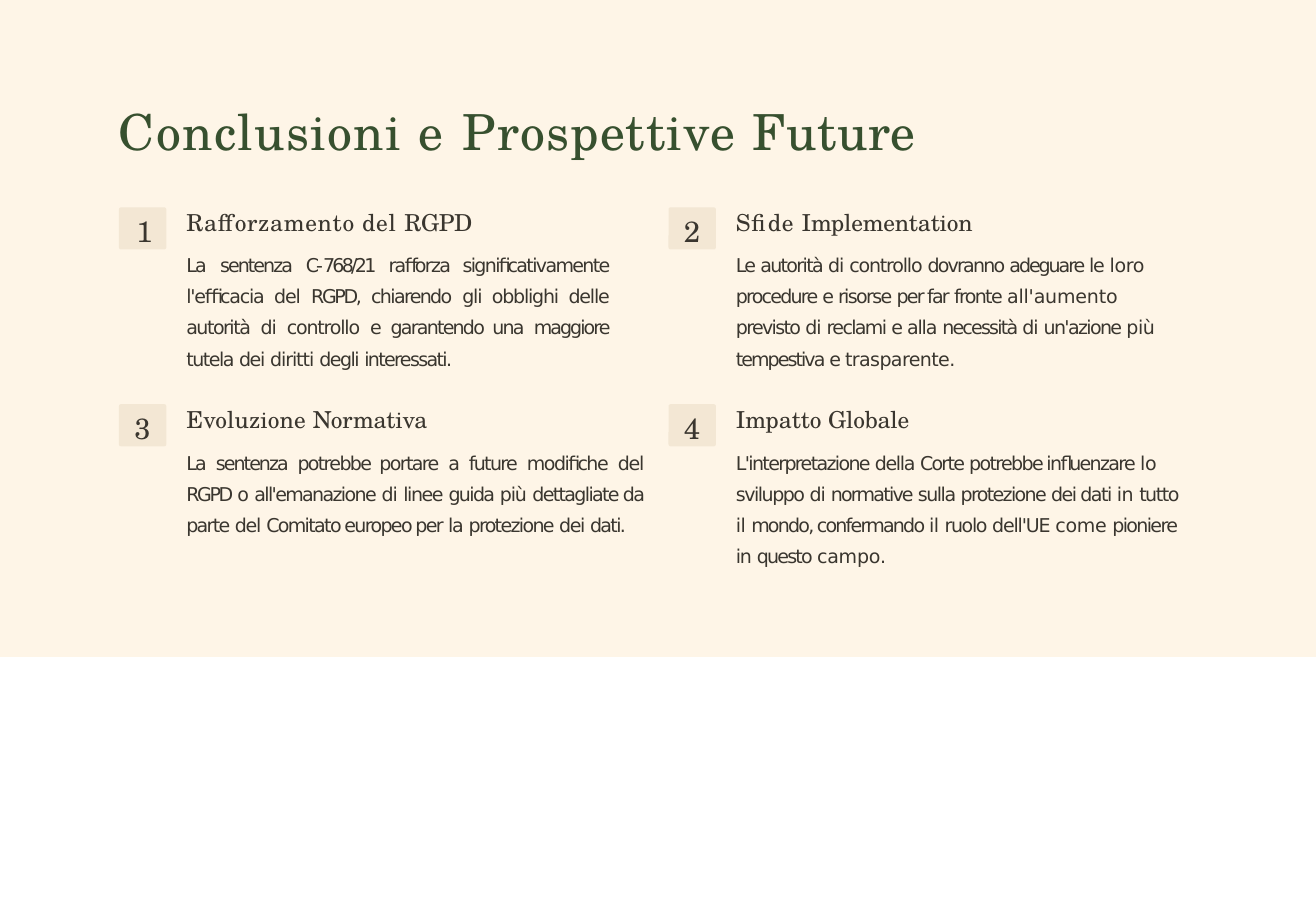
from dataclasses import dataclass

from pptx import Presentation
from pptx.dml.color import RGBColor
from pptx.enum.shapes import MSO_SHAPE
from pptx.enum.text import MSO_ANCHOR, MSO_AUTO_SIZE, PP_ALIGN
from pptx.util import Inches, Pt

LEFT, JUSTIFY = PP_ALIGN.LEFT, PP_ALIGN.JUSTIFY
TOP = MSO_ANCHOR.TOP
FIT_TEXT = MSO_AUTO_SIZE.SHAPE_TO_FIT_TEXT
RECTANGLE, ROUNDED = MSO_SHAPE.RECTANGLE, MSO_SHAPE.ROUNDED_RECTANGLE

TITLE = [("Conclusioni ", 1), ("e ", 1.9), ("Prospettive ", 0.9), ("Future", 0.4)]

CARDS = [
    {
        "number": ("1", -0.8), "number_inset": 0.16, "width": 4.02, "align": JUSTIFY,
        "heading": [("Rafforzamento del ", 0.5), ("RGPD", -0.2)],
        "body": [
            ("La ", -1.1), ("sentenza ", -1.3), ("C-", -2), ("768/21 ", -1.8),
            ("rafforza significativamente ", -1.1), ("l'efficacia del ", -0.8),
            ("RGPD, ", -1.6), ("chiarendo ", -1.1), ("gli obblighi delle ", -0.8),
            ("autorità ", -1), ("di ", -0.7), ("controllo ", -0.8), ("e ", -1.4),
            ("garantendo una ", -1.2), ("maggiore ", -1.3), ("tutela ", -1),
            ("dei ", -0.9), ("diritti ", -0.7), ("degli ", -1), ("interessati.", -1.1),
        ],
    },
    {
        "number": ("2", -0.5), "number_inset": 0.14, "width": 4.22, "align": LEFT,
        "heading": [("Sfide ", 0.5), ("Implementation", -0.1)],
        "body": [
            ("Le ", -1.2), ("autorità ", -1.1), ("di ", -0.7), ("controllo ", -0.8),
            ("dovranno ", -1.2), ("adeguare ", -1.4), ("le ", -0.9), ("loro ", -0.2),
            ("procedure ", -1.2), ("e ", -1.4), ("risorse ", -1.1), ("per far ", -1.2),
            ("fronte ", -1.1), ("all'aumento ", -0.1), ("previsto ", -1.1), ("di ", -0.7),
            ("reclami ", -1.1), ("e ", -1.4), ("alla ", -0.8), ("necessità ", -1.2),
            ("di ", -0.7), ("un'azione ", -1.1), ("più ", -0.3), ("tempestiva ", -1.3),
            ("e ", -1.4), ("trasparente.", -0.4),
        ],
    },
    {
        "number": ("3", -0.5), "number_inset": 0.14, "width": 4.35, "align": JUSTIFY,
        "heading": [("Evoluzione ", 0.1), ("Normativa", -0.1)],
        "body": [
            ("La ", -1.1), ("sentenza ", -1.3), ("potrebbe portare ", -1.1), ("a ", -1.2),
            ("future ", -1.1), ("modifiche ", -1), ("del ", -0.8), ("RGPD ", -1.6),
            ("o ", -0.8), ("all'emanazione ", -1.1), ("di ", -0.7), ("linee ", -1),
            ("guida ", -1.1), ("più ", -0.8), ("dettagliate da parte ", -1.1),
            ("del ", -0.8), ("Comitato europeo per ", -1.1), ("la ", -0.8),
            ("protezione ", -1.1), ("dei ", -0.9), ("dati.", -1.1),
        ],
    },
    {
        "number": ("4", -0.5), "number_inset": 0.14, "width": 4.35, "align": LEFT,
        "heading": [("Impatto ", 0), ("Globale", -0.1)],
        "body": [
            ("L'interpretazione ", -1.1), ("della ", -0.9), ("Corte ", -1.2),
            ("potrebbe influenzare ", -1.1), ("lo ", -0.3), ("sviluppo ", -1),
            ("di ", -0.7), ("normative ", -1.2), ("sulla ", -1), ("protezione ", -1.1),
            ("dei dati ", -1), ("in ", -0.3), ("tutto ", -1), ("il ", -0.4),
            ("mondo, confermando ", -1.2), ("il ", -0.4), ("ruolo ", -0.9),
            ("dell'UE ", -0.8), ("come ", -0.2), ("pioniere ", -1.1), ("in ", -0.8),
            ("questo ", -1.2), ("campo.", -0.1),
        ],
    },
]


@dataclass(frozen=True)
class Style:
    font: str
    size: float
    color: str


@dataclass(frozen=True)
class Theme:
    band: str = "FEF5E7"
    badge: str = "F3E7D4"
    title: Style = Style("TeX Gyre Schola", 34, "37502F")
    number: Style = Style("TeX Gyre Schola", 20, "3A362F")
    heading: Style = Style("TeX Gyre Schola", 16, "3A362F")
    body: Style = Style("DejaVu Sans", 13, "3A362F")


THEME = Theme()
SLIDE_WIDTH, SLIDE_HEIGHT, BAND_HEIGHT = 12.5, 8.54, 6.24
GRID_LEFT, GRID_TOP = 1.13, 1.97
COLUMN_STEP, ROW_STEP = 5.22, 1.87
BADGE_WIDTH, BADGE_HEIGHT = 0.45, 0.4
TEXT_OFFSET, TEXT_HEIGHT = 0.63, 1.57
HEADING_GAPS = (5.8, 6.5)


def prepare_frame(shape, left=0, top=0):
    frame = shape.text_frame
    frame.word_wrap = True
    frame.vertical_anchor = TOP
    frame.margin_left, frame.margin_top = Inches(left), Inches(top)
    frame.margin_right = frame.margin_bottom = 0
    return frame


def write_runs(paragraph, pieces, style, align=LEFT):
    paragraph.alignment = align
    for text, tracking in pieces:
        run = paragraph.add_run()
        run.text = text
        run.font.name = style.font
        run.font.size = Pt(style.size)
        run.font.color.rgb = RGBColor.from_string(style.color)
        run.font._element.set("spc", str(round(tracking * 100)))


def add_panel(slide, kind, left, top, width, height, color):
    panel = slide.shapes.add_shape(
        kind, Inches(left), Inches(top), Inches(width), Inches(height))
    panel.shadow.inherit = False
    panel.fill.solid()
    panel.fill.fore_color.rgb = RGBColor.from_string(color)
    panel.line.fill.background()
    return panel


def add_title(slide):
    title = slide.shapes.title
    title.left, title.top = Inches(GRID_LEFT), Inches(0.96)
    title.width, title.height = Inches(10.68), Inches(0.57)
    frame = prepare_frame(title)
    frame.auto_size = FIT_TEXT
    write_runs(frame.paragraphs[0], TITLE, THEME.title)


def add_card(slide, card, row, column):
    left = GRID_LEFT + column * COLUMN_STEP
    top = GRID_TOP + row * ROW_STEP
    badge = add_panel(slide, ROUNDED, left, top, BADGE_WIDTH, BADGE_HEIGHT, THEME.badge)
    badge.adjustments[0] = 0.05
    number_frame = prepare_frame(badge, card["number_inset"], 0.05)
    write_runs(number_frame.paragraphs[0], [card["number"]], THEME.number)

    text_box = slide.shapes.add_textbox(
        Inches(left + TEXT_OFFSET), Inches(top - 0.01),
        Inches(card["width"]), Inches(TEXT_HEIGHT))
    frame = prepare_frame(text_box, 0.01, 0.02)
    frame.auto_size = FIT_TEXT
    write_runs(frame.paragraphs[0], card["heading"], THEME.heading, card["align"])
    body = frame.add_paragraph()
    body.line_spacing = 1.37
    body.space_before = Pt(HEADING_GAPS[row])
    write_runs(body, card["body"], THEME.body, card["align"])


def main():
    presentation = Presentation()
    presentation.slide_width = Inches(SLIDE_WIDTH)
    presentation.slide_height = Inches(SLIDE_HEIGHT)
    slide = presentation.slides.add_slide(presentation.slide_layouts[5])
    band = add_panel(slide, RECTANGLE, 0, 0, SLIDE_WIDTH, BAND_HEIGHT, THEME.band)
    slide.shapes.title._element.addprevious(band._element)
    add_title(slide)
    for index, card in enumerate(CARDS):
        add_card(slide, card, *divmod(index, 2))
    presentation.save("out.pptx")


if __name__ == "__main__":
    main()
